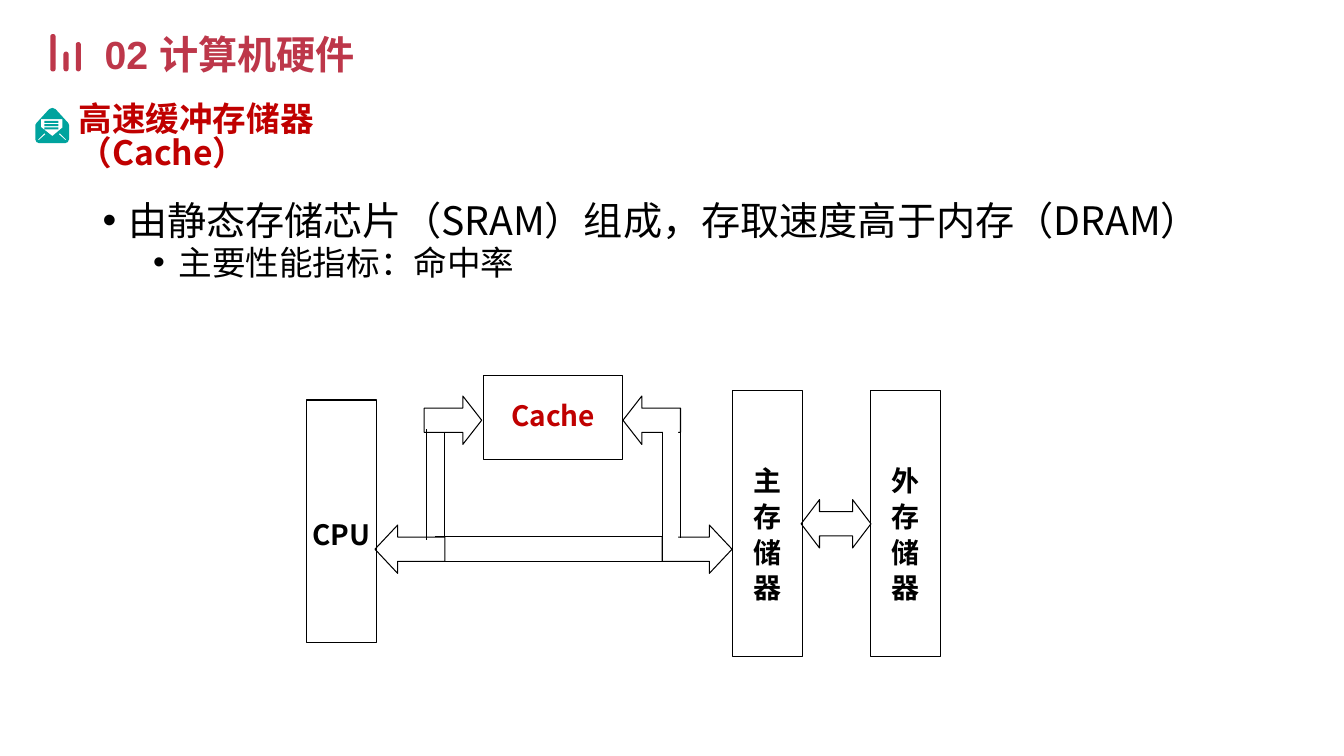
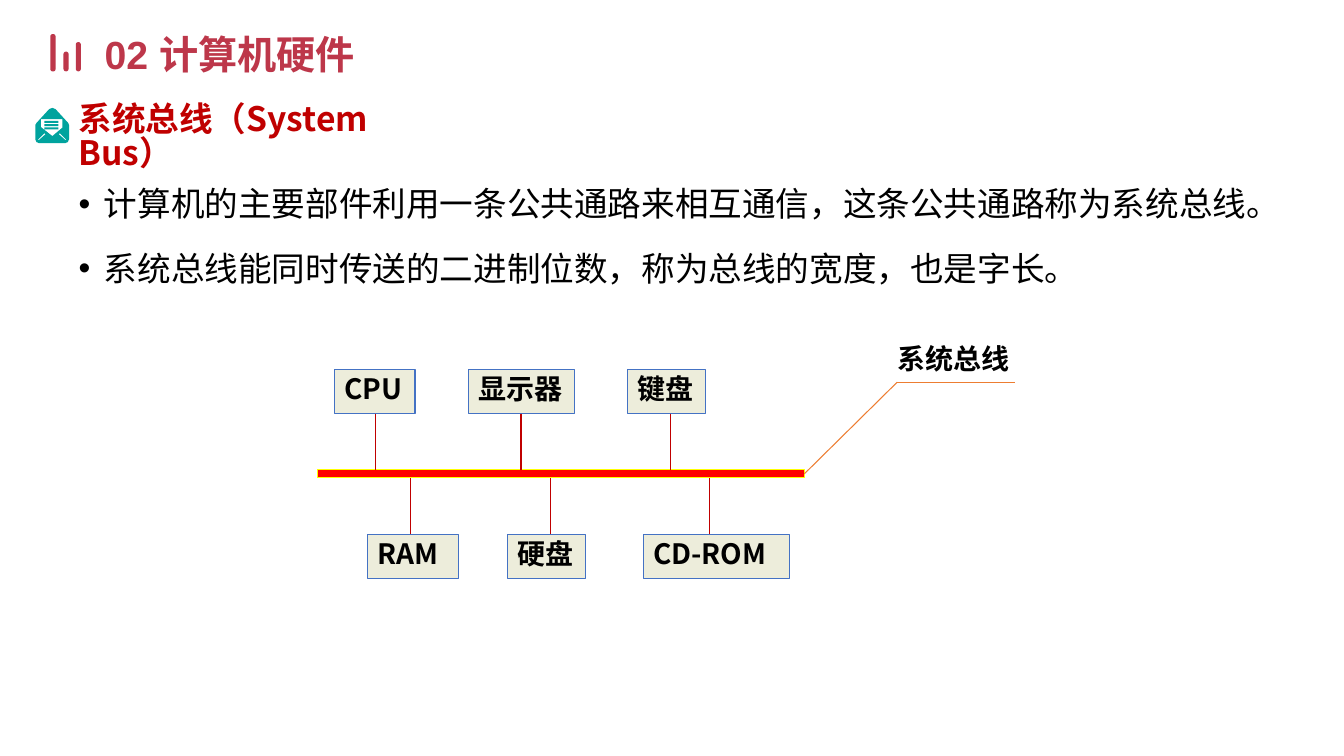
from lxml import etree
from pptx import Presentation, util as u
from pptx.dml.color import RGBColor
from pptx.enum import shapes, text
from pptx.oxml.ns import qn

COLOURS = {
    "title": "BD374A", "heading": "C00000", "icon": "00A39E", "ink": "000000",
    "white": "FFFFFF", "node": "EDEDDB", "node_edge": "4472C4",
    "bus": "FF0000", "bus_edge": "FFFF00", "callout": "ED7D31",
}
FONT = "Noto Sans CJK SC"
KIND = shapes.MSO_SHAPE
LABEL = {"size": u.Pt(20), "bold": True}
TIGHT = 0.84
EDGE = 0.75

# Envelope contours in hundredths of a centimetre
ENVELOPE = [
    [(3, 38), (35, 3), (43, 0), (51, 3), (83, 38), (85, 43), (85, 79), (82, 86),
     (75, 89), (10, 89), (3, 86), (0, 79), (0, 43)],
    [(14, 28), (14, 48), (43, 71), (68, 50), (68, 28)],
    *[[(23, y), (23, y + 5), (58, y + 5), (58, y)] for y in (33, 41, 49)],
    [(7, 80), (23, 64), (26, 66), (8, 82)],
    [(78, 80), (62, 64), (59, 66), (77, 82)],
]


def rgb(name):
    return RGBColor.from_string(COLOURS[name])


def assign(target, values):
    for name, value in values.items():
        setattr(target, name, value)


def paint(shape, fill=None, line=None):
    shape.shadow.inherit = False
    if fill:
        shape.fill.solid()
        shape.fill.fore_color.rgb = rgb(fill)
    else:
        shape.fill.background()
    if line:
        shape.line.color.rgb = rgb(line)
        shape.line.width = u.Pt(EDGE)
    else:
        shape.line.fill.background()


def add_block(page, kind, box, fill=None, line=None, adjust=()):
    shape = page.shapes.add_shape(kind, *map(u.Cm, box))
    paint(shape, fill, line)
    for index, value in enumerate(adjust):
        shape.adjustments[index] = value
    return shape


def add_line(page, start, end, colour):
    line = page.shapes.add_connector(shapes.MSO_CONNECTOR.STRAIGHT, *map(u.Cm, (*start, *end)))
    line.line.color.rgb = rgb(colour)
    line.line.width = u.Pt(EDGE)
    etree.SubElement(line._element.spPr, qn("a:effectLst"))


def write(para, words, colour, font, layout):
    span = para.add_run()
    span.text = words
    assign(span.font, {"name": FONT, **font})
    span.font.color.rgb = rgb(colour)
    etree.SubElement(span._r.get_or_add_rPr(), qn("a:ea"), typeface=FONT)
    assign(para, layout)


def fill_text(shape, lines, colour="ink", font=LABEL, layout=None, **frame):
    assign(shape.text_frame, {"word_wrap": True, **frame})
    for index, words in enumerate(lines):
        para = shape.text_frame.paragraphs[0] if index == 0 else shape.text_frame.add_paragraph()
        write(para, words, colour, font, layout or {"line_spacing": TIGHT})


def add_text(page, box, lines, **style):
    shape = page.shapes.add_textbox(*map(u.Cm, box))
    fill_text(shape, lines, **style)


# Shared title band: three bars, section title, envelope and heading
def add_header(page, heading):
    bottom = 1.8
    for left, height, radius in ((1.27, 0.94, 0.42), (1.6, 0.5, 0.5), (1.91, 0.74, 0.5)):
        add_block(page, KIND.ROUNDED_RECTANGLE, (left, bottom - height, 0.13, height),
                  "title", adjust=[radius])
    add_text(page, (2.39, 0.51, 11.53, 1.6), ["02 计算机硬件"], colour="title",
             font={"name": "Arial", "size": u.Pt(28), "bold": True},
             layout={"line_spacing": 1.1})
    add_envelope(page, 0.89, 2.72)
    add_text(page, (1.73, 2.51, 8.5, 2.2), [heading], colour="heading",
             font={"size": u.Pt(24), "bold": True})


def add_envelope(page, left, top):
    first, *others = ENVELOPE
    pen = page.shapes.build_freeform(*first[0], scale=u.Cm(0.01))
    pen.add_line_segments(first[1:], close=True)
    for contour in others:
        pen.move_to(*contour[0])
        pen.add_line_segments(contour[1:], close=True)
    paint(pen.convert_to_shape(u.Cm(left), u.Cm(top)), "icon")


# Bulleted body: items are (words, level, size, space before)
def add_bullets(page, box, items, spacing):
    frame = page.shapes.add_textbox(*map(u.Cm, box)).text_frame
    frame.word_wrap = True
    for index, (words, level, size, before) in enumerate(items):
        para = frame.paragraphs[0] if index == 0 else frame.add_paragraph()
        props = para._p.get_or_add_pPr()
        props.set("marL", str(u.Cm(0.64 + 1.27 * level)))
        props.set("indent", str(-u.Cm(0.64)))
        etree.SubElement(props, qn("a:buFont"), typeface="Arial")
        etree.SubElement(props, qn("a:buChar"), char="•")
        write(para, words, "ink", {"size": u.Pt(size)},
              {"level": level, "line_spacing": spacing, "space_before": u.Pt(before)})


def add_cache_diagram(page, left, top):
    def at(x, y):
        return left + x, top + y

    # Units: label lines, box, text colour, line spacing, top inset
    units = [
        (["CPU"], (0, 0.61, 1.76, 6.12), "ink", TIGHT, 0.8),
        (["Cache"], (4.47, 0, 3.5, 2.11), "heading", TIGHT, 0),
        ("主存储器", (10.74, 0.36, 1.76, 6.71), "ink", 1.06, 0.5),
        ("外存储器", (14.22, 0.36, 1.76, 6.71), "ink", 1.06, 0.5),
    ]
    for lines, (x, y, width, height), colour, spacing, inset in units:
        unit = add_block(page, KIND.RECTANGLE, (*at(x, y), width, height), line="ink")
        fill_text(unit, lines, colour=colour,
                  layout={"alignment": text.PP_ALIGN.CENTER, "line_spacing": spacing},
                  vertical_anchor=text.MSO_ANCHOR.MIDDLE, margin_left=0, margin_right=0,
                  margin_top=u.Cm(inset), margin_bottom=0)

    # Block arrows
    for kind, x, y, width, head in (
        (KIND.LEFT_RIGHT_ARROW, 12.47, 3.12, 1.76, 0.38),
        (KIND.RIGHT_ARROW, 8.97, 3.76, 1.76, 0.47),
        (KIND.LEFT_ARROW, 1.73, 3.76, 1.76, 0.47),
        (KIND.RIGHT_ARROW, 2.97, 0.51, 1.45, 0.39),
        (KIND.LEFT_ARROW, 7.98, 0.51, 1.45, 0.39),
    ):
        add_block(page, kind, (*at(x, y), width, 1.22), line="ink", adjust=[0.5, head])

    # Channel walls, then a patch that opens the right-hand joint
    for y in (4.06, 4.67):
        add_line(page, at(3.25, y), at(9.19, y), "ink")
    for x, start, end in ((3.02, 1.35, 4.14), (3.48, 1.45, 4.06),
                          (8.97, 1.45, 4.06), (9.42, 0.81, 4.09)):
        add_line(page, at(x, start), at(x, end), "ink")
    add_block(page, KIND.RECTANGLE, (*at(8.99, 1.32), 0.38, 3.1), "white")


def add_bus_diagram(page, left, top):
    bus_top, bus_width, bus_height, node_height = 2.54, 12.27, 0.2, 1.12
    bus_bottom, lower_top = bus_top + bus_height, 4.16
    add_block(page, KIND.RECTANGLE, (left, top + bus_top, bus_width, bus_height),
              "bus", "bus_edge")

    # Devices: label, left, width, position of the link to the bus
    upper = [("CPU", 0.43, 2.03, 1.47), ("显示器", 3.81, 2.67, 5.13), ("键盘", 7.82, 1.96, 8.89)]
    lower = [("RAM", 1.27, 2.29, 2.34), ("硬盘", 4.8, 1.96, 5.87), ("CD-ROM", 8.21, 3.68, 9.88)]
    rows = [(upper, 0, node_height, bus_top), (lower, lower_top, bus_bottom, lower_top)]
    for devices, y, link_start, link_end in rows:
        for label, x, width, link in devices:
            node = add_block(page, KIND.RECTANGLE, (left + x, top + y, width, node_height),
                             "node", "node_edge")
            fill_text(node, [label], margin_right=0,
                      layout={"alignment": text.PP_ALIGN.LEFT, "line_spacing": TIGHT},
                      vertical_anchor=text.MSO_ANCHOR.MIDDLE)
            add_line(page, (left + link, top + link_start), (left + link, top + link_end),
                     "heading")

    # Callout
    elbow = (left + 14.61, top + 0.33)
    add_text(page, (elbow[0] - 0.25, elbow[1] - 1.07, 3.6, 1.09), ["系统总线"],
             vertical_anchor=text.MSO_ANCHOR.MIDDLE)
    add_line(page, elbow, (elbow[0] + 2.97, elbow[1]), "callout")
    add_line(page, (left + bus_width, top + bus_top + bus_height / 2), elbow, "callout")


def build_cache_page(page):
    add_header(page, "高速缓冲存储器（Cache）")
    add_bullets(page, (2.34, 5.08, 29.21, 12.09), [
        ("由静态存储芯片（SRAM）组成，存取速度高于内存（DRAM）", 0, 28, 0),
        ("主要性能指标：命中率", 1, 24, 5),
    ], 0.78)
    add_cache_diagram(page, 7.72, 9.47)


def build_bus_page(page):
    add_header(page, "系统总线（System Bus）")
    add_bullets(page, (1.73, 4.24, 30.5, 12.09), [
        ("计算机的主要部件利用一条公共通路来相互通信，这条公共通路称为系统总线。", 0, 24, 0),
        ("系统总线能同时传送的二进制位数，称为总线的宽度，也是字长。", 0, 24, 10),
    ], 1.25)
    add_bus_diagram(page, 8, 9.3)


def main():
    deck = Presentation()
    assign(deck, {"slide_width": u.Cm(33.87), "slide_height": u.Cm(19.05)})
    for build in (build_cache_page, build_bus_page):
        build(deck.slides.add_slide(deck.slide_layouts[6]))
    deck.save("out.pptx")


if __name__ == "__main__":
    main()
